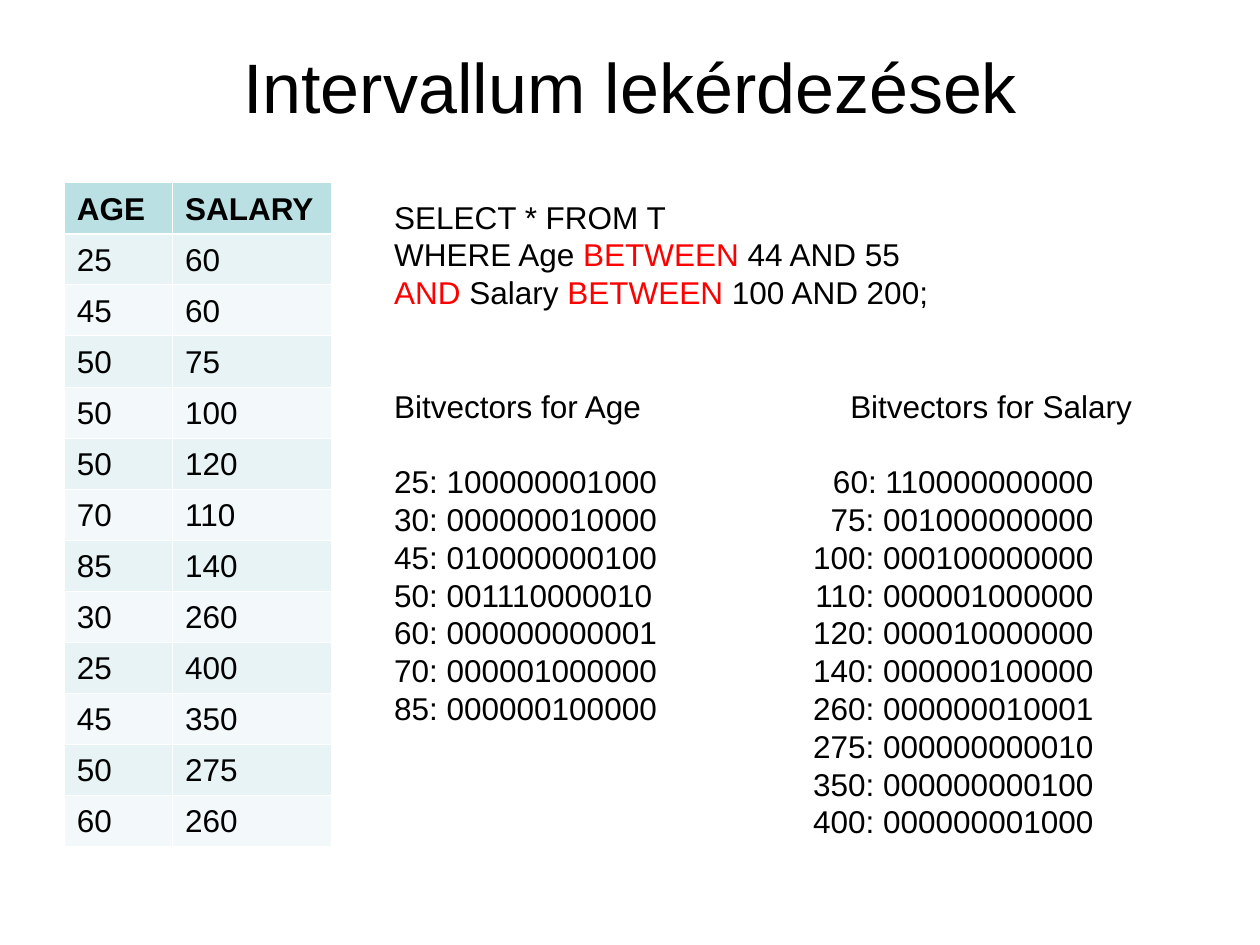
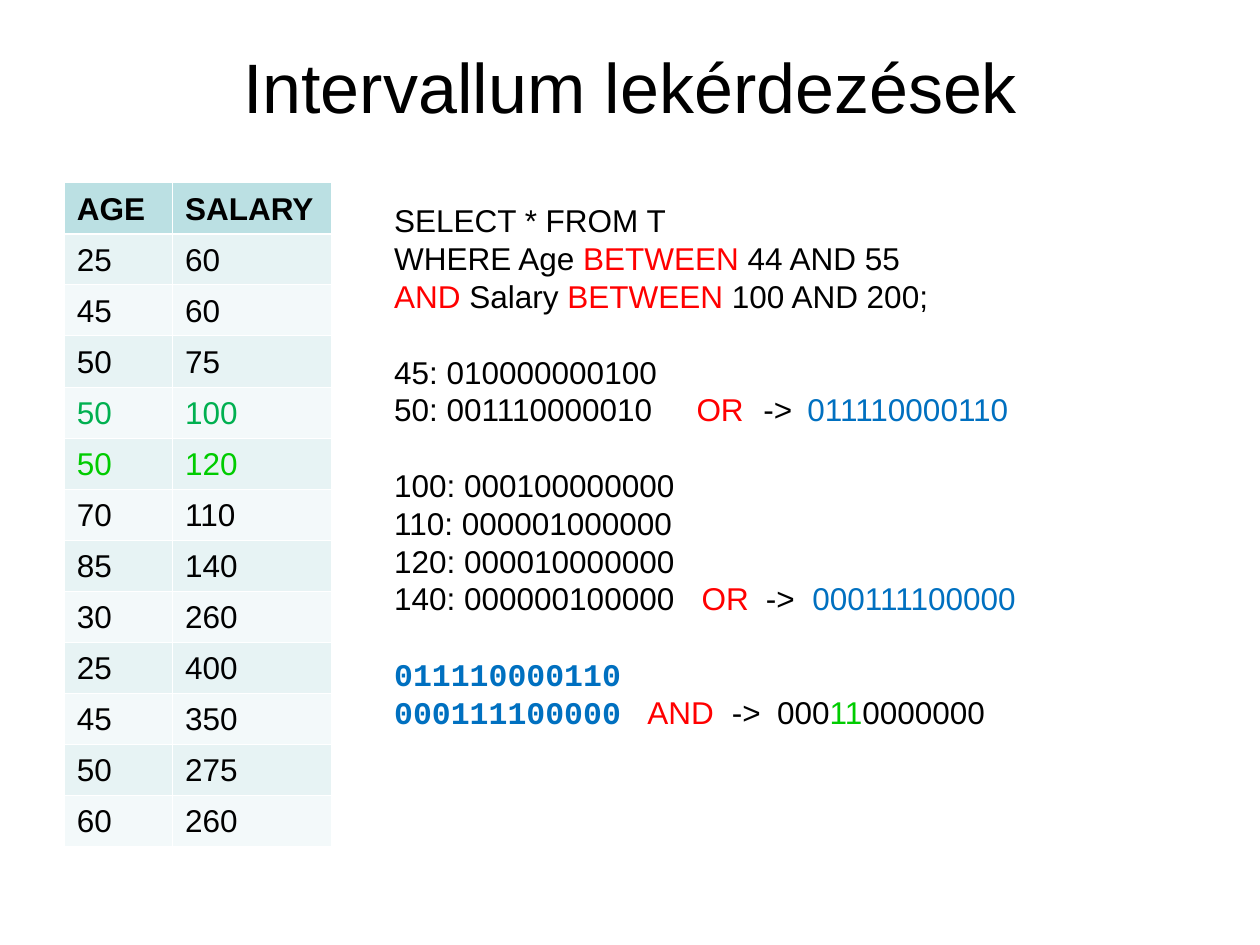
"""Build two slides on answering interval queries with bitvectors."""
from dataclasses import dataclass

from lxml import etree
from pptx import Presentation
from pptx.dml.color import RGBColor
from pptx.enum.text import MSO_ANCHOR, MSO_AUTO_SIZE, PP_ALIGN
from pptx.oxml.ns import qn
from pptx.util import Inches, Pt


@dataclass(frozen=True)
class Theme:
    sans: str = "Arial"
    mono: str = "Courier New"
    title_size: float = 40
    text_size: float = 18
    line_height: float = 21.6
    black: str = "000000"
    red: str = "FF0000"
    blue: str = "0070C0"
    green: str = "00B050"
    lime: str = "00CC00"
    white: str = "FFFFFF"
    header: str = "BBE0E3"
    bands: tuple = ("E7F3F4", "F3F9FA")
    thin: float = 0.45
    thick: float = 1.47


THEME = Theme()


def write_line(paragraph, runs, gap=0, tabs=(), bold=False):
    """Fill a paragraph with (text, colour) runs, after a gap counted in lines."""
    paragraph.line_spacing = Pt(THEME.line_height)
    paragraph.space_before = Pt(gap * THEME.line_height)
    if tabs:
        tab_list = etree.SubElement(paragraph._p.get_or_add_pPr(), qn("a:tabLst"))
        for position, alignment in tabs:
            etree.SubElement(tab_list, qn("a:tab"), pos=str(Inches(position)), algn=alignment)
    for text, colour in runs:
        run = paragraph.add_run()
        run.text = text
        run.font.name = THEME.sans
        run.font.size = Pt(THEME.text_size)
        run.font.bold = bold
        run.font.color.rgb = RGBColor.from_string(colour)


def add_border(cell, side, width):
    """Draw one white edge of a table cell."""
    line = etree.SubElement(cell._tc.get_or_add_tcPr(), qn(f"a:ln{side}"), w=str(Pt(width)))
    fill = etree.SubElement(line, qn("a:solidFill"))
    etree.SubElement(fill, qn("a:srgbClr"), val=THEME.white)


records = [
    ("AGE", "SALARY"), (25, 60), (45, 60), (50, 75), (50, 100), (50, 120), (70, 110),
    (85, 140), (30, 260), (25, 400), (45, 350), (50, 275), (60, 260),
]
black, red, blue, lime = THEME.black, THEME.red, THEME.blue, THEME.lime

query = [
    ([("SELECT * FROM T", black)], 0, ()),
    ([("WHERE Age ", black), ("BETWEEN", red), (" 44 AND 55", black)], 0, ()),
    ([("AND", red), (" Salary ", black), ("BETWEEN", red), (" 100 AND 200;", black)], 0, ()),
]

age_vectors = [
    "25: 100000001000", "30: 000000010000", "45: 010000000100", "50: 001110000010",
    "60: 000000000001", "70: 000001000000", "85: 000000100000", "", "", "",
]
salary_vectors = [
    "60: 110000000000", "75: 001000000000", "100: 000100000000", "110: 000001000000",
    "120: 000010000000", "140: 000000100000", "260: 000000010001", "275: 000000000010",
    "350: 000000000100", "400: 000000001000",
]
vector_lists = [([("Bitvectors for Age\tBitvectors for Salary", black)], 2, [(3.62, "l")])]
for index, (age, salary) in enumerate(zip(age_vectors, salary_vectors)):
    vector_lists.append(([(f"{age}\t{salary}", black)], int(index == 0), [(5.55, "r")]))

evaluation = [
    ([("45: 010000000100", black)], 1, ()),
    ([("50: 001110000010\t", black), ("OR", red), ("\t->\t", black), ("011110000110", blue)],
     0, [(2.4, "l"), (2.93, "l"), (3.28, "l")]),
    ([("100: 000100000000", black)], 1, ()),
    ([("110: 000001000000", black)], 0, ()),
    ([("120: 000010000000", black)], 0, ()),
    ([("140: 000000100000\t", black), ("OR", red), ("\t->\t", black), ("000111100000", blue)],
     0, [(2.44, "l"), (2.95, "l"), (3.32, "l")]),
    ([("011110000110", blue)], 1, ()),
    ([("000111100000", blue), ("\t", black), ("AND", red), ("\t->\t000", black),
      ("11", lime), ("0000000", black)], 0, [(2.01, "l"), (2.68, "l"), (3.04, "l")]),
]

slides = [
    (query + vector_lists, 1.52, 6.1, {}, 0),
    (query + evaluation, 1.55, 5.2, {4: THEME.green, 5: lime}, 2),
]

prs = Presentation()
prs.slide_width, prs.slide_height = Inches(10), Inches(7.5)

for lines, top, height, matches, mono_lines in slides:
    slide = prs.slides.add_slide(prs.slide_layouts[5])

    title = slide.shapes.title
    title.left, title.top, title.width, title.height = map(Inches, (0.5, 0.3, 9, 0.75))
    title.text_frame.text = "Intervallum lekérdezések"
    title.text_frame.auto_size = MSO_AUTO_SIZE.NONE
    title.text_frame.vertical_anchor = MSO_ANCHOR.MIDDLE
    heading = title.text_frame.paragraphs[0]
    heading.alignment = PP_ALIGN.CENTER
    heading.font.name = THEME.sans
    heading.font.size = Pt(THEME.title_size)
    heading.font.color.rgb = RGBColor.from_string(black)

    people = slide.shapes.add_table(
        len(records), 2, Inches(0.51), Inches(1.45), Inches(2.12), Inches(5.27)).table
    people.horz_banding = False
    people.columns[0].width, people.columns[1].width = Inches(0.86), Inches(1.26)
    for row, record in enumerate(records):
        fill = THEME.bands[(row - 1) % 2] if row else THEME.header
        for column, value in enumerate(record):
            cell = people.cell(row, column)
            write_line(cell.text_frame.paragraphs[0],
                       [(str(value), matches.get(row, black))], bold=row == 0)
            for side in "LRTB":
                under_header = (row, side) in ((0, "B"), (1, "T"))
                add_border(cell, side, THEME.thick if under_header else THEME.thin)
            cell.fill.solid()
            cell.fill.fore_color.rgb = RGBColor.from_string(fill)

    explanation = slide.shapes.add_textbox(
        Inches(3.03), Inches(top), Inches(6.06), Inches(height)).text_frame
    explanation.word_wrap = True
    for index, (runs, gap, tabs) in enumerate(lines):
        paragraph = explanation.add_paragraph() if index else explanation.paragraphs[0]
        write_line(paragraph, runs, gap, tabs)
        if index >= len(lines) - mono_lines:
            paragraph.runs[0].font.name = THEME.mono
            paragraph.runs[0].font.bold = True

prs.save("out.pptx")
